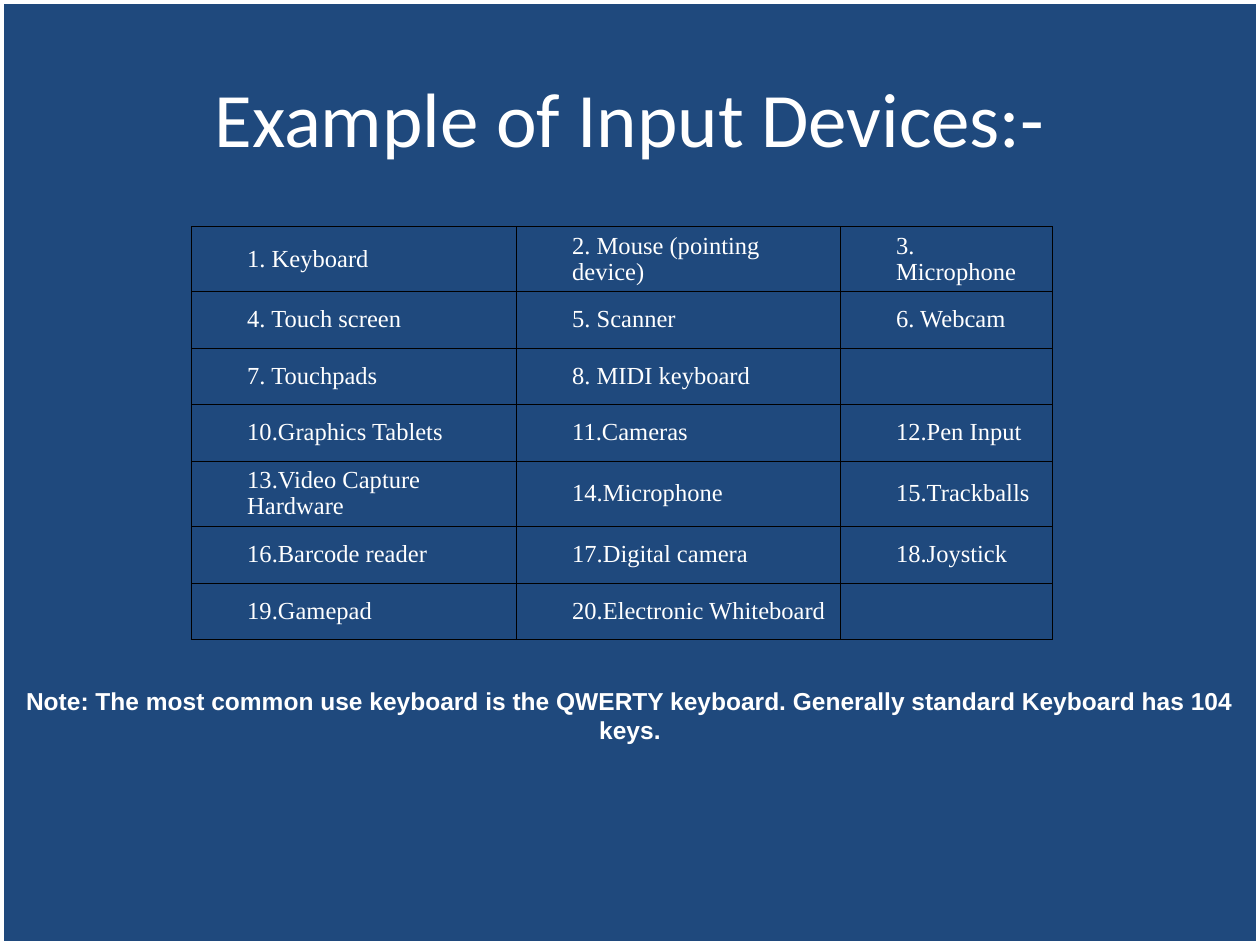
from dataclasses import dataclass
from itertools import product

from lxml.etree import SubElement
from pptx import Presentation
from pptx.dml.color import RGBColor
from pptx.enum.shapes import MSO_SHAPE as Shape
from pptx.enum.text import MSO_ANCHOR as Anchor, PP_ALIGN as Align
from pptx.oxml.ns import qn
from pptx.slide import Slide
from pptx.util import Cm, Pt

COLORS = {"background": "1F497D", "text": "FFFFFF", "frame": "FFFFFF", "grid": "000000"}
COLUMN_WIDTHS = [6.55, 6.53, 4.27]
ROW_HEIGHT = 1.14
DEVICES = [
    ["1. Keyboard", "2. Mouse (pointing device)", "3. Microphone"],
    ["4. Touch screen", "5. Scanner", "6. Webcam"],
    ["7. Touchpads", "8. MIDI keyboard", ""],
    ["10.Graphics Tablets", "11.Cameras", "12.Pen Input"],
    ["13.Video Capture Hardware", "14.Microphone", "15.Trackballs"],
    ["16.Barcode reader", "17.Digital camera", "18.Joystick"],
    ["19.Gamepad", "20.Electronic Whiteboard", ""],
]


@dataclass
class SlideBuilder:
    slide: Slide
    colors: dict

    def color(self, name):
        return RGBColor.from_string(self.colors[name])

    def background(self):
        fill = self.slide.background.fill
        fill.solid()
        fill.fore_color.rgb = self.color("background")

    def set_wording(self, paragraph, wording, font_name, size, bold=False):
        paragraph.text = wording
        for run in paragraph.runs:
            run.font.name = font_name
            run.font.size = Pt(size)
            run.font.bold = bold
            run.font.color.rgb = self.color("text")

    def text(self, wording, left, top, width, height, font_name, size, bold=False):
        box = self.slide.shapes.add_textbox(Cm(left), Cm(top), Cm(width), Cm(height))
        frame = box.text_frame
        frame.word_wrap = True
        frame.vertical_anchor = Anchor.MIDDLE
        paragraph = frame.paragraphs[0]
        paragraph.alignment = Align.CENTER
        self.set_wording(paragraph, wording, font_name, size, bold)

    def frame(self, width, height, line_width):
        border = self.slide.shapes.add_shape(Shape.RECTANGLE, 0, 0, Cm(width), Cm(height))
        border.shadow.inherit = False
        border.fill.background()
        border.line.color.rgb = self.color("frame")
        border.line.width = Pt(line_width)

    def cell_borders(self, cell, line_width):
        properties = cell._tc.get_or_add_tcPr()
        for side in ("lnL", "lnR", "lnT", "lnB"):
            line = SubElement(properties, qn(f"a:{side}"), w=str(Pt(line_width)))
            fill = SubElement(line, qn("a:solidFill"))
            SubElement(fill, qn("a:srgbClr"), val=self.colors["grid"])

    def table(self, entries, left, top, column_widths, row_height):
        rows, columns = len(entries), len(column_widths)
        table = self.slide.shapes.add_table(
            rows, columns, Cm(left), Cm(top), Cm(sum(column_widths)), Cm(rows * row_height)
        ).table
        table.first_row = False
        table.horz_banding = False
        for column, width in zip(table.columns, column_widths):
            column.width = Cm(width)
        for row in table.rows:
            row.height = Cm(row_height)
        for r, c in product(range(rows), range(columns)):
            cell = table.cell(r, c)
            cell.vertical_anchor = Anchor.MIDDLE
            self.cell_borders(cell, 0.45)
            cell.fill.background()
            paragraph = cell.text_frame.paragraphs[0]
            paragraph.line_spacing = Pt(15)
            paragraph._p.get_or_add_pPr().set("marL", str(Cm(0.87)))
            self.set_wording(paragraph, entries[r][c], "Times New Roman", 14)


def main():
    presentation = Presentation()
    presentation.slide_width = Cm(25.4)
    presentation.slide_height = Cm(19.05)
    slide = presentation.slides.add_slide(presentation.slide_layouts[6])
    builder = SlideBuilder(slide, COLORS)
    builder.background()
    builder.text("Example of Input Devices:-", 1.27, 0.76, 22.86, 3.18, "Calibri", 44)
    builder.table(DEVICES, 3.86, 4.57, COLUMN_WIDTHS, ROW_HEIGHT)
    builder.frame(25.4, 19.05, 4.25)
    builder.text(
        "Note: The most common use keyboard is the QWERTY keyboard. "
        "Generally standard Keyboard has 104 keys.",
        0.2, 13.69, 25, 1.45, "Arial", 14, bold=True,
    )
    presentation.save("out.pptx")


if __name__ == "__main__":
    main()
